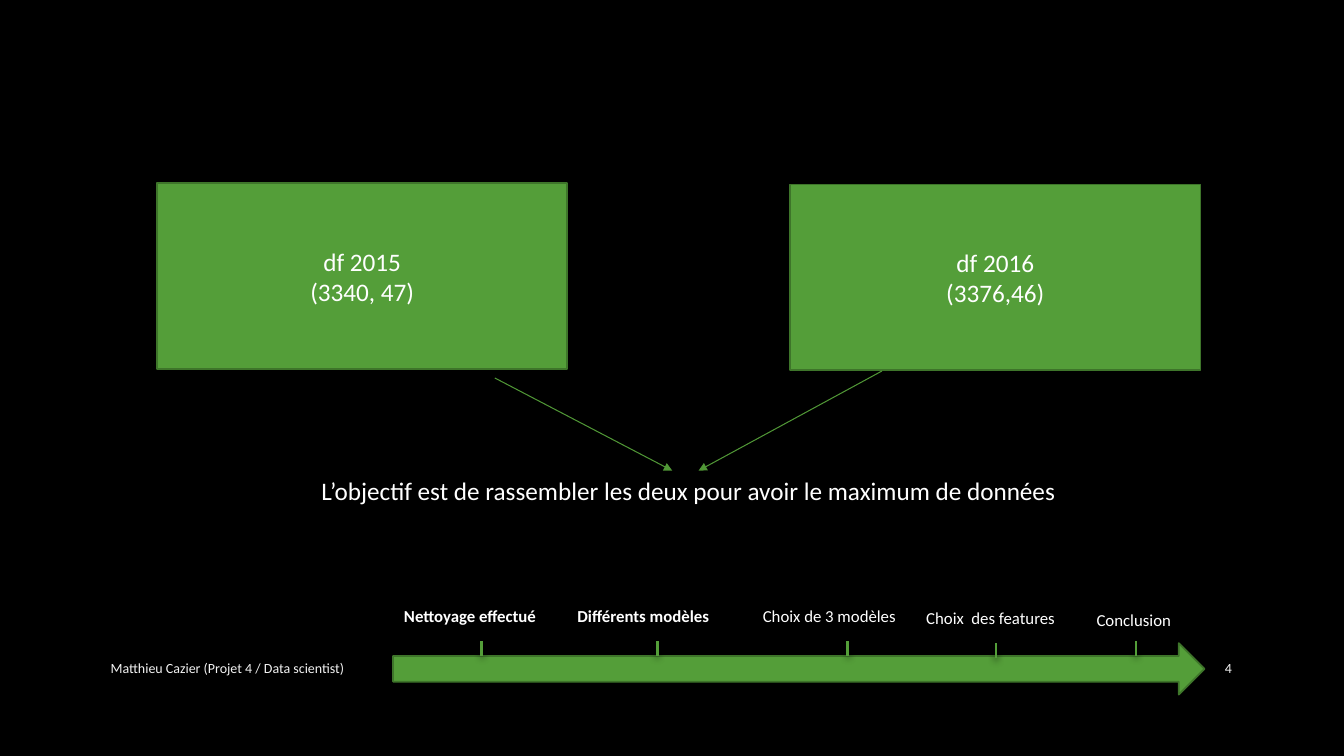
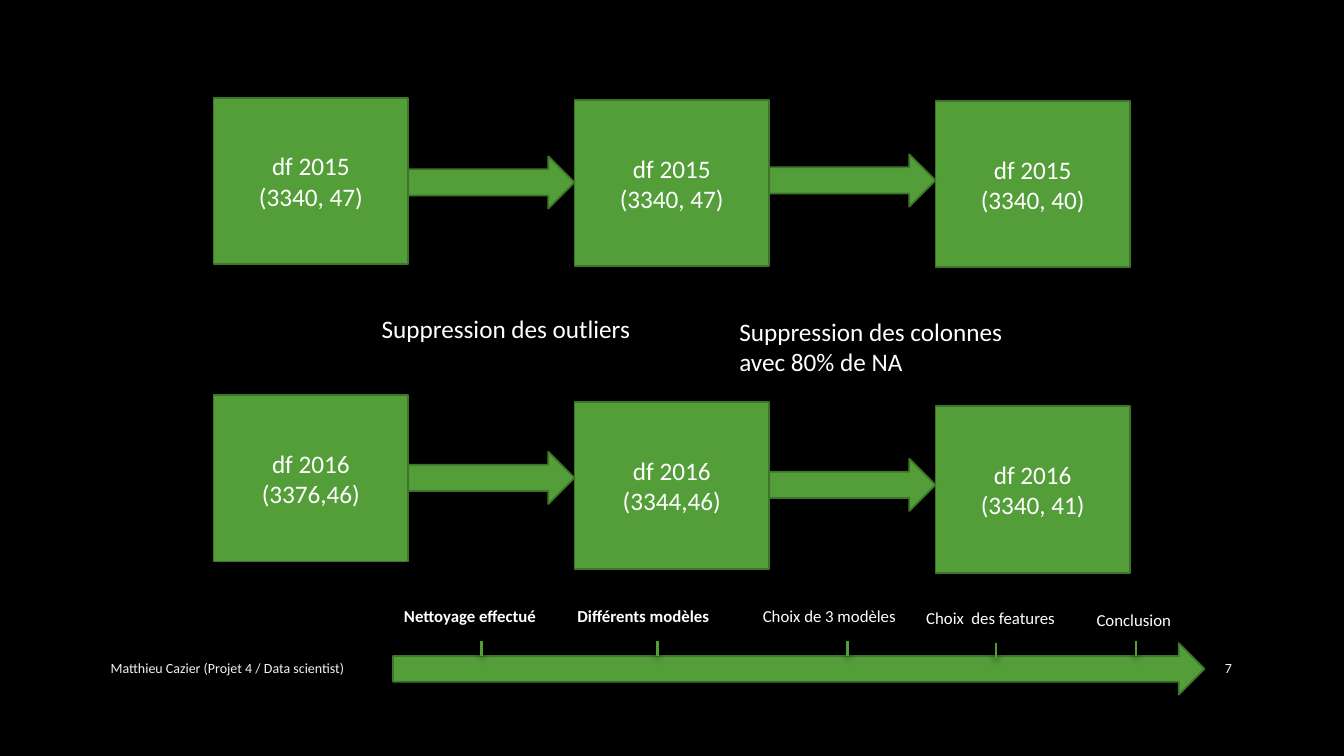
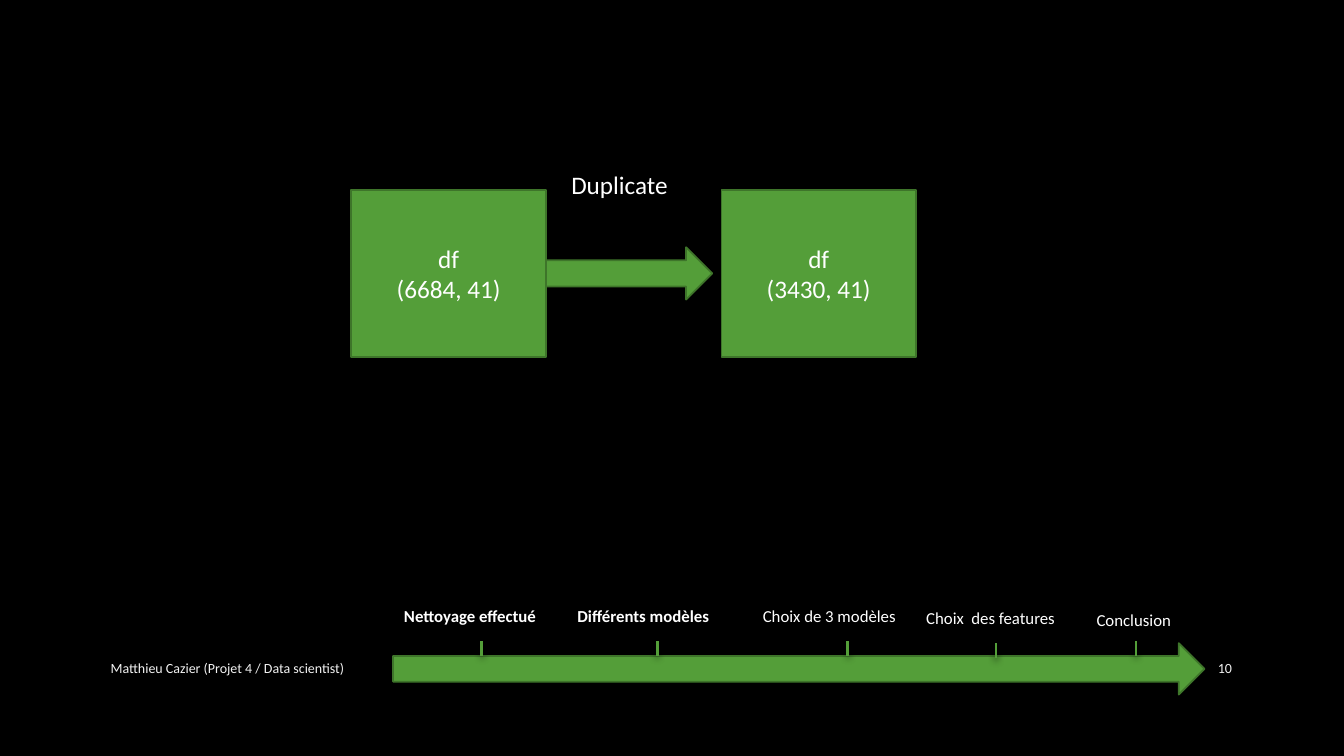
import pptx
import pptx.dml.color
import pptx.enum.shapes
import pptx.enum.text
import pptx.oxml
import pptx.oxml.ns
import pptx.util
from lxml import etree

Pt = pptx.util.Pt
SHAPE = pptx.enum.shapes.MSO_SHAPE
ALIGN = pptx.enum.text.PP_ALIGN
ANCHOR = pptx.enum.text.MSO_ANCHOR

FONT = "Calibri"
BLACK = "000000"
WHITE = "FFFFFF"
FOOTER_GREY = "F2F2F2"
GREEN = "549E39"
DARK_GREEN = "3E752A"
LINK_GREEN = "509736"

AUTHOR = "Matthieu Cazier (Projet 4 / Data scientist)"
FRAME_SIZE = (139, 119)
STEP_SIZE = (118.8, 37.4)

STAGES = [
    ("Nettoyage effectué", True, 281.5, 429.1, 344.2, 457.9),
    ("Différents modèles", True, 405.4, 429.1, 469.4, 457.9),
    ("Choix de 3 modèles", False, 537.8, 429.1, 605.5, 457.9),
    ("Choix  des features", False, 654.5, 430.6, 711.4, 459.4),
    ("Conclusion", False, 776.2, 432, 811.4, 457.9),
]

CLEANING_ROWS = [
    ("df 2015", ["(3340, 47)", "(3340, 47)", "(3340, 40)"],
     [69.8, 71.3, 72], [111.6, 110.2]),
    ("df 2016", ["(3376,46)", "(3344,46)", "(3340, 41)"],
     [282.2, 287.3, 290.2], [322.6, 327.6]),
]


def rgb(value):
    return pptx.dml.color.RGBColor.from_string(value)


def write(frame, text, size, color=WHITE, bold=False, align=ALIGN.LEFT, anchor=ANCHOR.TOP):
    frame.word_wrap = True
    frame.vertical_anchor = anchor
    frame.text = text
    for paragraph in frame.paragraphs:
        paragraph.alignment = align
        for run in paragraph.runs:
            run.font.name = FONT
            run.font.size = Pt(size)
            run.font.bold = bold
            run.font.color.rgb = rgb(color)


def add_label(slide, text, left, top, width, height, size=18, **style):
    label = slide.shapes.add_textbox(Pt(left), Pt(top), Pt(width), Pt(height))
    write(label.text_frame, text, size, **style)


def add_green_shape(slide, preset, left, top, width, height):
    shape = slide.shapes.add_shape(preset, Pt(left), Pt(top), Pt(width), Pt(height))
    shape.shadow.inherit = False
    shape.fill.solid()
    shape.fill.fore_color.rgb = rgb(GREEN)
    shape.line.color.rgb = rgb(DARK_GREEN)
    shape.line.width = Pt(1.25)
    return shape


def add_dataframe(slide, name, dimensions, left, top, size=FRAME_SIZE):
    dataframe = add_green_shape(slide, SHAPE.RECTANGLE, left, top, *size)
    write(dataframe.text_frame, f"{name}\n{dimensions}", 18,
          align=ALIGN.CENTER, anchor=ANCHOR.MIDDLE)


def add_step(slide, left, top, size=STEP_SIZE):
    add_green_shape(slide, SHAPE.RIGHT_ARROW, left, top, *size)


def add_line(slide, start, end, color, width):
    line = slide.shapes.add_connector(
        pptx.enum.shapes.MSO_CONNECTOR.STRAIGHT, *map(Pt, start + end))
    line.line.color.rgb = rgb(color)
    line.line.width = Pt(width)
    effects = etree.SubElement(line._element.spPr, pptx.oxml.ns.qn("a:effectLst"))
    return line, effects


def add_link(slide, start, end):
    link, _ = add_line(slide, start, end, LINK_GREEN, 0.75)
    outline = link.line._get_or_add_ln()
    etree.SubElement(outline, pptx.oxml.ns.qn("a:tailEnd"), type="triangle")


def add_tick(slide, left, top):
    _, effects = add_line(slide, (left, top), (left, top + 10.5), GREEN, 2)
    effects.append(pptx.oxml.parse_xml(
        f'<a:outerShdw {pptx.oxml.ns.nsdecls("a")} blurRad="{Pt(5)}" dist="{Pt(2)}" '
        f'dir="5400000" rotWithShape="0"><a:srgbClr val="{BLACK}">'
        '<a:alpha val="60000"/></a:srgbClr></a:outerShdw>'))


def add_timeline(slide):
    add_step(slide, 280.8, 459.4, (579.6, 36.7))
    for name, done, label_left, label_top, tick_left, tick_top in STAGES:
        add_tick(slide, tick_left, tick_top)
        add_label(slide, name, label_left, label_top, 127.4, 21.6, size=12, bold=done)


def new_slide(deck, number):
    slide = deck.slides.add_slide(deck.slide_layouts[6])
    footer = {"size": 10, "color": FOOTER_GREY, "anchor": ANCHOR.MIDDLE}
    add_label(slide, AUTHOR, 72, 463, 525.6, 28.8, **footer)
    add_label(slide, str(number), 828, 463, 59, 28.8, align=ALIGN.RIGHT, **footer)
    add_timeline(slide)
    return slide


def build_sources(deck):
    slide = new_slide(deck, 4)
    source_size = (293, 132.5)
    add_dataframe(slide, "df 2015", "(3340, 47)", 112.3, 131, source_size)
    add_dataframe(slide, "df 2016", "(3376,46)", 564.5, 131.8, source_size)
    add_label(slide, "L’objectif est de rassembler les deux pour avoir le maximum de données",
              222.5, 336.2, 683.3, 28.8)
    add_link(slide, (353.5, 270), (480.2, 336.2))
    add_link(slide, (630, 265), (499, 336.2))


def build_cleaning(deck):
    slide = new_slide(deck, 7)
    first_left = 152.6
    pitch = FRAME_SIZE[0] + STEP_SIZE[0]
    for name, dimensions, frame_tops, step_tops in CLEANING_ROWS:
        for column, (dimension, top) in enumerate(zip(dimensions, frame_tops)):
            add_dataframe(slide, name, dimension, first_left + column * pitch, top)
        for column, top in enumerate(step_tops):
            add_step(slide, first_left + FRAME_SIZE[0] + column * pitch, top)
    add_label(slide, "Suppression des outliers", 265.5, 220.3, 216.7, 28.8)
    add_label(slide, "Suppression des colonnes avec 80% de NA", 521, 222.2, 216.7, 51)


def build_duplicates(deck):
    slide = new_slide(deck, 10)
    add_dataframe(slide, "df", "(6684, 41)", 251, 136)
    add_step(slide, 251 + FRAME_SIZE[0], 176.6)
    add_dataframe(slide, "df", "(3430, 41)", 515.3, 135.8)
    add_label(slide, "Duplicate", 401, 117.4, 127.4, 28.8)


def main():
    deck = pptx.Presentation()
    deck.slide_width = Pt(960)
    deck.slide_height = Pt(540)
    backdrop = deck.slide_master.background.fill
    backdrop.solid()
    backdrop.fore_color.rgb = rgb(BLACK)
    build_sources(deck)
    build_cleaning(deck)
    build_duplicates(deck)
    deck.save("out.pptx")


if __name__ == "__main__":
    main()
